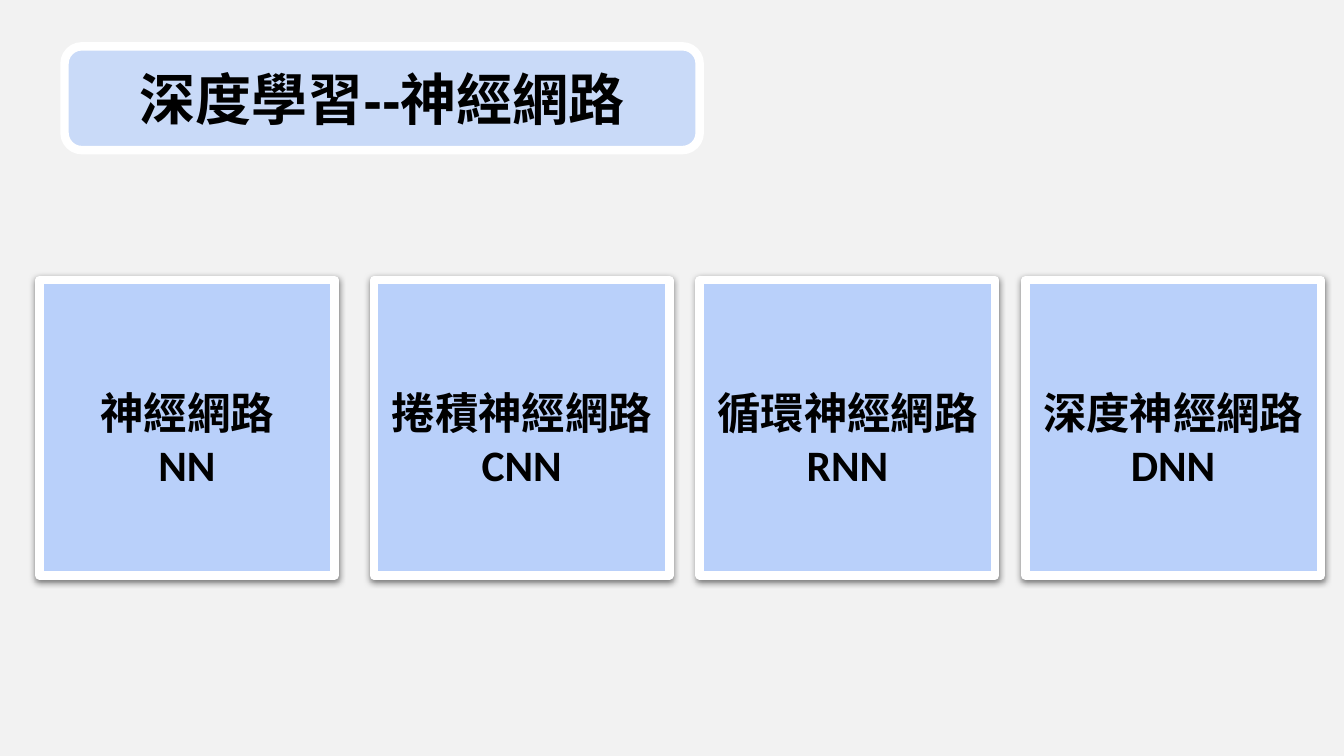
from lxml import etree
from pptx import Presentation
from pptx.dml.color import RGBColor
from pptx.enum import shapes, text
from pptx.oxml import ns
from pptx.util import Inches, Pt

SHADOW = (
    f'<a:effectLst xmlns:a="{ns.nsuri("a")}">'
    '<a:outerShdw blurRad="57150" dist="19050" dir="5400000" algn="bl" rotWithShape="0">'
    '<a:srgbClr val="000000"><a:alpha val="50000"/></a:srgbClr>'
    '</a:outerShdw></a:effectLst>'
)


def add_panel(kind, left, top, width, height, fill):
    """Add a filled shape with a thick white border and no shadow."""
    sp = s.shapes.add_shape(kind, Inches(left), Inches(top), Inches(width), Inches(height))
    sp.shadow.inherit = False
    sp.fill.solid()
    sp.fill.fore_color.rgb = RGBColor.from_string(fill)
    sp.line.color.rgb = RGBColor.from_string("FFFFFF")
    sp.line.width = Pt(6)
    return sp


def write_lines(sp, lines, size, font):
    """Write bold, centred black lines, one paragraph each."""
    tf = sp.text_frame
    tf.word_wrap = True
    tf.margin_left = tf.margin_right = tf.margin_top = tf.margin_bottom = Inches(0.1)
    for i, line in enumerate(lines):
        p = tf.add_paragraph() if i else tf.paragraphs[0]
        p.alignment = text.PP_ALIGN.CENTER
        r = p.add_run()
        r.text = line
        r.font.size = Pt(size)
        r.font.name = font
        r.font.bold = True
        r.font.color.rgb = RGBColor.from_string("000000")
    return tf


prs = Presentation()
prs.slide_width = Inches(13.33)
prs.slide_height = Inches(7.5)
s = prs.slides.add_slide(prs.slide_layouts[6])
s.background.fill.solid()
s.background.fill.fore_color.rgb = RGBColor.from_string("F2F2F2")

# Title
title = add_panel(shapes.MSO_SHAPE.ROUNDED_RECTANGLE, 0.64, 0.46, 6.3, 1.03, "C9DAF8")
tf = write_lines(title, ["深度學習--神經網路"], 40, "Arial")
tf.vertical_anchor = text.MSO_ANCHOR.MIDDLE

# Network cards
CARD = 2.93
networks = [
    (0.39, "神經網路", "NN"),
    (3.71, "捲積神經網路", "CNN"),
    (6.94, "循環神經網路", "RNN"),
    (10.17, "深度神經網路", "DNN"),
]
for left, name, short in networks:
    card = add_panel(shapes.MSO_SHAPE.RECTANGLE, left, 2.78, CARD, CARD, "B9D0FA")
    effects = card._element.spPr.find(ns.qn("a:effectLst"))
    effects.getparent().replace(effects, etree.fromstring(SHADOW))
    label = s.shapes.add_textbox(Inches(left), Inches(3.73), Inches(CARD), Inches(1.25))
    tf = write_lines(label, [name, short], 31, "Calibri")
    tf.auto_size = text.MSO_AUTO_SIZE.SHAPE_TO_FIT_TEXT

prs.save("out.pptx")
